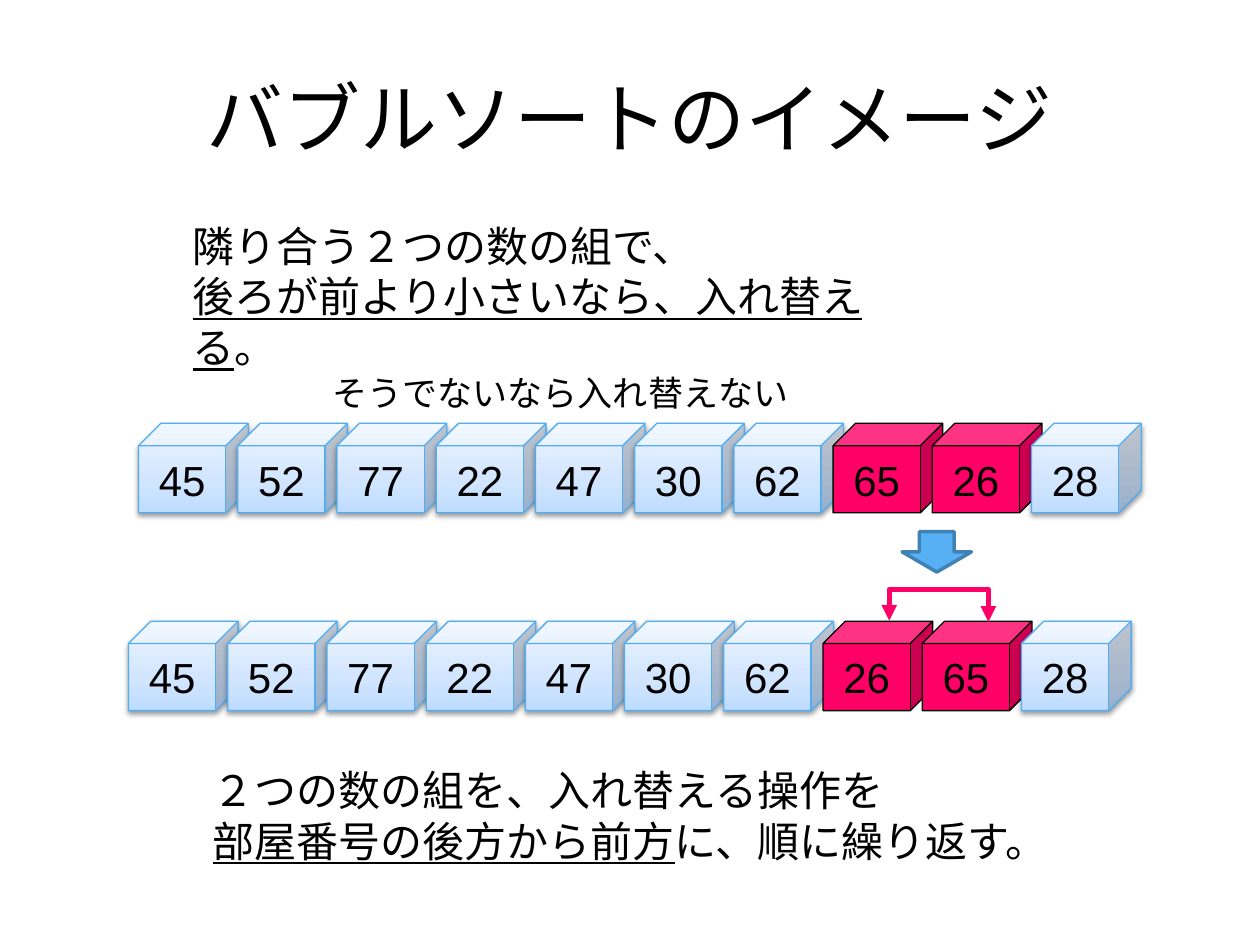
from dataclasses import dataclass

from lxml import etree
from pptx import Presentation
from pptx import util as u
from pptx.dml.color import RGBColor
from pptx.enum import shapes, text
from pptx.oxml import parse_xml
from pptx.oxml.ns import qn

NAMESPACE = 'xmlns:a="http://schemas.openxmlformats.org/drawingml/2006/main"'
BLACK, PINK, SKY = "000000", "FF0066", "52ADF2"
CUBE_WIDTH, CUBE_HEIGHT, CUBE_DEPTH = 0.87, 0.71, 0.18
PITCH = 0.7875
SWAPPED = (7, 8)


@dataclass
class CubeRow:
    left: float
    top: float
    numbers: list[int]

    def cube_left(self, column: int) -> float:
        return self.left + column * PITCH

    def top_centre(self, column: int) -> float:
        return self.cube_left(column) + (CUBE_WIDTH + CUBE_DEPTH) / 2


@dataclass
class Run:
    words: str
    underline: bool = False


@dataclass
class Line:
    runs: list[Run]
    size: int = 24
    indent: int = 0


@dataclass
class Note:
    left: float
    top: float
    width: float
    height: float
    lines: list[Line]


BEFORE = CubeRow(1.1, 3.36, [45, 52, 77, 22, 47, 30, 62, 65, 26, 28])
AFTER = CubeRow(1.02, 4.93, [45, 52, 77, 22, 47, 30, 62, 26, 65, 28])
NOTES = [
    Note(1.43, 1.7, 5.58, 1.25, [
        Line([Run("隣り合う２つの数の組で、")]),
        Line([Run("後ろが前より小さいなら、入れ替える", True), Run("。")]),
        Line([Run("そうでないなら入れ替えない")], size=20, indent=80),
    ]),
    Note(1.59, 6.02, 6.51, 0.91, [
        Line([Run("２つの数の組を、入れ替える操作を")]),
        Line([Run("部屋番号の後方から前方", True), Run("に、順に繰り返す。")]),
    ]),
]


def colour(value: str) -> RGBColor:
    """Turn a hex string into a colour."""
    return RGBColor.from_string(value)


def add_run(paragraph, words: str, size: int, font: str = "Arial", underline: bool = False) -> None:
    """Append one formatted run to a paragraph."""
    run = paragraph.add_run()
    run.text = words
    run.font.size = u.Pt(size)
    run.font.name = font
    run.font.underline = underline
    run.font.color.rgb = colour(BLACK)


def add_shape(slide, kind, left: float, top: float, width: float, height: float,
              fill: str, line: str, weight: float):
    """Draw a flat preset shape with a fill and an outline."""
    shape = slide.shapes.add_shape(kind, u.Inches(left), u.Inches(top),
                                   u.Inches(width), u.Inches(height))
    shape.shadow.inherit = False
    shape.fill.solid()
    shape.fill.fore_color.rgb = colour(fill)
    shape.line.color.rgb = colour(line)
    shape.line.width = u.Pt(weight)
    return shape


def add_glass_look(shape) -> None:
    """Give a shape the pale blue gradient and soft shadow."""
    properties = shape._element.spPr
    stops = "".join(f'<a:gs pos="{position}"><a:srgbClr val="{value}"/></a:gs>'
                    for position, value in ((0, "BEDCFF"), (35000, "D1E5FF"), (100000, "EEF5FF")))
    gradient = parse_xml(f'<a:gradFill {NAMESPACE} rotWithShape="1"><a:gsLst>{stops}</a:gsLst>'
                         '<a:lin ang="16200000" scaled="0"/></a:gradFill>')
    properties.replace(properties.find(qn("a:solidFill")), gradient)
    shadow = parse_xml(f'<a:outerShdw {NAMESPACE} blurRad="{u.Pt(3.1)}" dist="{u.Pt(1.6)}" '
                       'dir="5400000" rotWithShape="0"><a:srgbClr val="000000">'
                       '<a:alpha val="38000"/></a:srgbClr></a:outerShdw>')
    properties.find(qn("a:effectLst")).append(shadow)


def add_cube_row(slide, row: CubeRow) -> None:
    """Draw one row of numbered cubes, with the swapped pair in pink."""
    for column, number in enumerate(row.numbers):
        swapped = column in SWAPPED
        cube = add_shape(slide, shapes.MSO_SHAPE.CUBE, row.cube_left(column), row.top,
                         CUBE_WIDTH, CUBE_HEIGHT, PINK, BLACK if swapped else SKY, 0.75)
        if not swapped:
            add_glass_look(cube)
        frame = cube.text_frame
        frame.word_wrap = False
        frame.vertical_anchor = text.MSO_ANCHOR.MIDDLE
        paragraph = frame.paragraphs[0]
        paragraph.alignment = text.PP_ALIGN.CENTER
        add_run(paragraph, str(number), 24)


def add_note(slide, note: Note) -> None:
    """Write an explanatory text box."""
    box = slide.shapes.add_textbox(u.Inches(note.left), u.Inches(note.top),
                                   u.Inches(note.width), u.Inches(note.height))
    frame = box.text_frame
    frame.word_wrap = True
    for index, line in enumerate(note.lines):
        paragraph = frame.add_paragraph() if index else frame.paragraphs[0]
        if line.indent:
            paragraph._p.get_or_add_pPr().set("marL", str(u.Pt(line.indent)))
        for run in line.runs:
            add_run(paragraph, run.words, line.size, underline=run.underline)


def add_swap_bracket(slide, row: CubeRow, rise: float = 0.25, depth: float = 0.01) -> None:
    """Join the tops of the swapped cubes with a double-headed elbow connector."""
    start, end = (row.top_centre(column) for column in SWAPPED)
    middle, half = (start + end) / 2, (end - start) / 2
    connector = slide.shapes.add_connector(
        shapes.MSO_CONNECTOR.ELBOW, u.Inches(middle - depth / 2), u.Inches(row.top + half),
        u.Inches(middle + depth / 2), u.Inches(row.top - half))
    connector.line.color.rgb = colour(PINK)
    connector.line.width = u.Pt(3)
    properties = connector._element.spPr
    properties.find(qn("a:xfrm")).set("rot", "5400000")
    guides = properties.find(qn("a:prstGeom")).find(qn("a:avLst"))
    etree.SubElement(guides, qn("a:gd"), name="adj1", fmla=f"val {round(-rise / depth * 100000)}")
    outline = properties.find(qn("a:ln"))
    for end_tag in ("a:headEnd", "a:tailEnd"):
        etree.SubElement(outline, qn(end_tag), type="triangle")
    etree.SubElement(properties, qn("a:effectLst"))


def main() -> None:
    """Build the bubble sort slide."""
    presentation = Presentation()
    presentation.slide_width, presentation.slide_height = u.Inches(10), u.Inches(7.5)
    slide = presentation.slides.add_slide(presentation.slide_layouts[5])
    title = slide.shapes.title
    title.left, title.top = u.Inches(0.5), u.Inches(0.3)
    title.width, title.height = u.Inches(9), u.Inches(1.25)
    title.text_frame.vertical_anchor = text.MSO_ANCHOR.MIDDLE
    heading = title.text_frame.paragraphs[0]
    heading.alignment = text.PP_ALIGN.CENTER
    add_run(heading, "バブルソートのイメージ", 44, "Calibri")
    for note in NOTES:
        add_note(slide, note)
    for row in (BEFORE, AFTER):
        add_cube_row(slide, row)
    add_swap_bracket(slide, AFTER)
    add_shape(slide, shapes.MSO_SHAPE.DOWN_ARROW, 7.16, 4.22, 0.55, 0.32, "58B0F4", "4182B5", 2)
    presentation.save("out.pptx")


if __name__ == "__main__":
    main()
